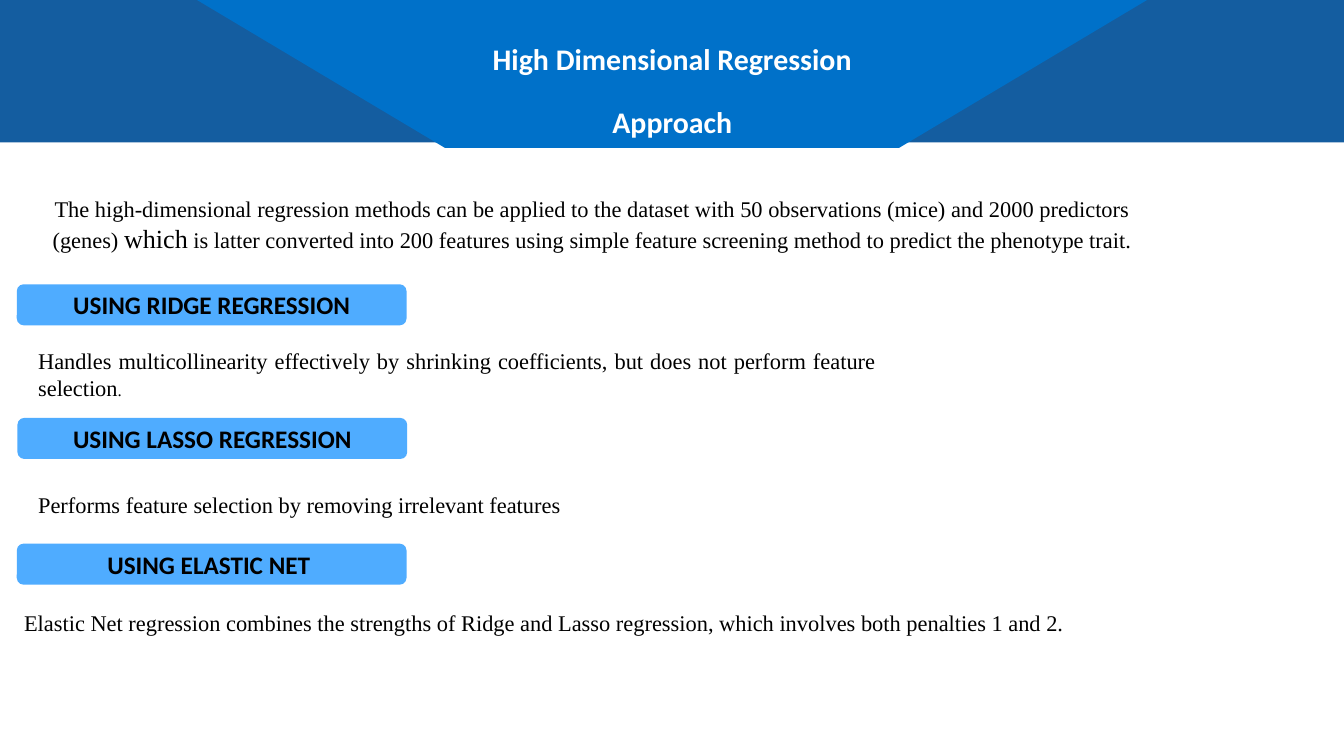
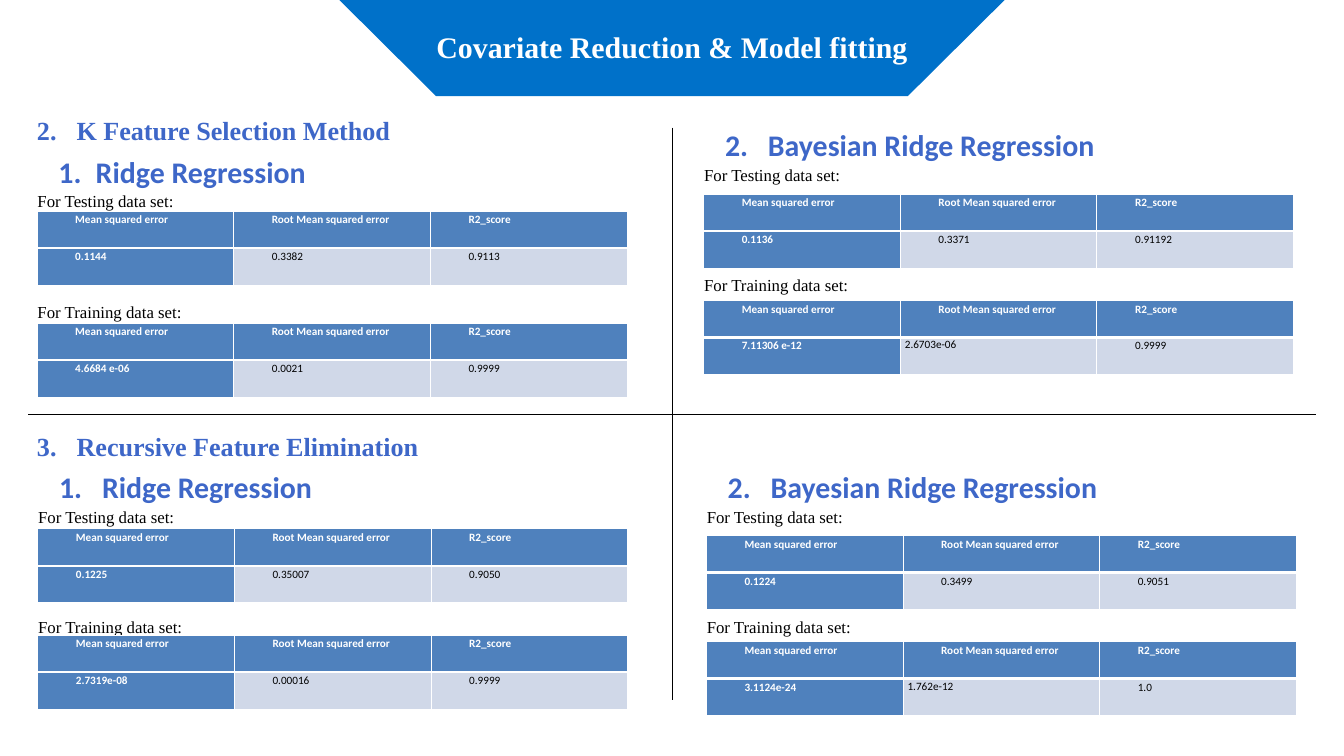
from lxml.etree import SubElement
from pptx import Presentation
from pptx.dml.color import RGBColor
from pptx.enum.shapes import MSO_CONNECTOR, MSO_SHAPE
from pptx.enum.text import MSO_ANCHOR, PP_ALIGN
from pptx.oxml.ns import qn
from pptx.util import Pt

WIDTH, HEIGHT = 1440, 810
WHITE, BLACK = "FFFFFF", "000000"
BAND_BLUE, TITLE_BLUE, BUTTON_BLUE = "145DA0", "0071C9", "4FACFF"
HEADING_BLUE, TABLE_BLUE, TABLE_PALE = "3E67C8", "4F81BD", "D0D8E8"
SANS, SERIF = "Calibri", "Times New Roman"

TITLE = {"name": SANS, "size": 32, "bold": True, "color": WHITE}
SERIF_TITLE = {**TITLE, "name": SERIF}
BODY = {"name": SERIF, "size": 24, "bold": False, "color": BLACK}
BUTTON = {"name": SANS, "size": 27, "bold": True, "color": BLACK}
SECTION = {"name": SERIF, "size": 28, "bold": True, "color": HEADING_BLUE}
MODEL = {**SECTION, "name": SANS, "size": 32}
LABEL = {**BODY, "size": 18}
CELL_KEY = {"name": SANS, "size": 12, "bold": True, "color": WHITE}
CELL_VALUE = {**CELL_KEY, "bold": False, "color": BLACK}

CENTER = {"alignment": PP_ALIGN.CENTER}
LOOSE = {"line_spacing": 1.5, "space_after": Pt(8)}
SNUG = {"line_spacing": 1.15, "space_after": Pt(8)}

INTRO = [
    ("The high-dimensional regression methods can be applied to the dataset with "
     "50 observations (mice) and 2000 predictors (genes) ", BODY),
    ("which", {**BODY, "size": 28}),
    (" is latter converted into 200 features using simple feature screening method "
     "to predict the phenotype trait.", BODY),
]
BUTTONS = [
    ("USING RIDGE REGRESSION", 18, 304.6),
    ("USING LASSO REGRESSION", 18.7, 447.8),
    ("USING ELASTIC NET ", 18, 582.5),
]
DETAILS = [
    ([("Handles multicollinearity effectively by shrinking coefficients, but does not "
       "perform feature selection", BODY), (".", LABEL)],
     (33.8, 368.6, 911.5, 82), {"alignment": PP_ALIGN.JUSTIFY}),
    ([("Performs feature selection by removing irrelevant features", BODY)],
     (33.8, 508.3, 911.5, 45.4), LOOSE),
    ([("Elastic Net regression combines the strengths of Ridge and Lasso regression, "
       "which involves both penalties 1 and 2.", BODY)],
     (18.7, 634.3, 1163.5, 46), LOOSE),
]

SECTIONS = [
    (2, "K Feature Selection Method", 122.4),
    (3, "Recursive Feature Elimination", 461.5),
]
TABLE_HEADER = ["Mean squared error", "Root Mean squared error", "R2_score"]
DATA_SETS = ["For Testing data set:", "For Training data set:"]
FLUSH_VALUES = {"2.6703e-06", "1.762e-12"}
PANELS = [
    {"model": (1, "Ridge Regression", 40), "left": 39.6, "top": 164.2,
     "labels": (197.3, 316.1), "tables": (226.1, 346.3),
     "scores": (["0.1144", "0.3382", "0.9113"], ["4.6684 e-06", "0.0021", "0.9999"])},
    {"model": (2, "Bayesian Ridge Regression", 46), "left": 753.8, "top": 136.1,
     "labels": (169.9, 288), "tables": (208.1, 321.8),
     "scores": (["0.1136", "0.3371", "0.91192"], ["7.11306 e-12", "2.6703e-06", "0.9999"])},
    {"model": (1, "Ridge Regression", 46), "left": 40.3, "top": 501.8,
     "labels": (535.7, 653.8), "tables": (566.6, 680.4),
     "scores": (["0.1225", "0.35007", "0.9050"], ["2.7319e-08", "0.00016", "0.9999"])},
    {"model": (2, "Bayesian Ridge Regression", 46), "left": 756.7, "top": 501.8,
     "labels": (535.7, 653.8), "tables": (573.8, 687.6),
     "scores": (["0.1224", "0.3499", "0.9051"], ["3.1124e-24", "1.762e-12", "1.0"])},
]
COLUMN_WIDTH, ROW_HEIGHT = 210.7, 39.6
DIVIDERS = [(30.2, 444.2, 1410.5, 444.2), (720, 136.8, 720, 750.2)]


def colour(value):
    return RGBColor.from_string(value)


def points(values):
    return [Pt(value) for value in values]


def write(frame, runs, layout, indent=0, number=None):
    para = frame.paragraphs[0]
    for key, value in layout.items():
        setattr(para, key, value)
    properties = para._p.get_or_add_pPr()
    if indent:
        properties.set("marL", str(Pt(indent)))
        properties.set("indent", str(-Pt(indent) if number else 0))
    if number:
        SubElement(properties, qn("a:buAutoNum"), type="arabicPeriod", startAt=str(number))
    for text, style in runs:
        span = para.add_run()
        span.text = text
        formats = {**style, "size": Pt(style["size"])}
        span.font.color.rgb = colour(formats.pop("color"))
        for key, value in formats.items():
            setattr(span.font, key, value)


def add_text(page, area, runs, layout, inset=True, **marks):
    frame = page.shapes.add_textbox(*points(area)).text_frame
    frame.word_wrap = True
    frame.vertical_anchor = MSO_ANCHOR.TOP
    if not inset:
        for side in ("left", "top", "right", "bottom"):
            setattr(frame, "margin_" + side, 0)
    write(frame, runs, layout, **marks)


def paint(shape, fill):
    shape.shadow.inherit = False
    shape.fill.solid()
    shape.fill.fore_color.rgb = colour(fill)
    shape.line.fill.background()


def add_box(page, kind, area, fill):
    box = page.shapes.add_shape(kind, *points(area))
    paint(box, fill)
    return box


def add_title_banner(page, top_left, bottom_left, depth):
    corners = [(top_left, 0), (WIDTH - top_left, 0),
               (WIDTH - bottom_left, depth), (bottom_left, depth)]
    start, *others = [points(corner) for corner in corners]
    builder = page.shapes.build_freeform(*start, scale=1.0)
    builder.add_line_segments(others, close=True)
    paint(builder.convert_to_shape(), TITLE_BLUE)


def add_borders(cell, bottom):
    properties = cell._tc.get_or_add_tcPr()
    for position, (side, width) in enumerate(zip("LRTB", (1, 1, 1, bottom))):
        edge = properties.makeelement(qn("a:ln" + side), {"w": str(Pt(width))})
        SubElement(SubElement(edge, qn("a:solidFill")), qn("a:srgbClr"), val=WHITE)
        properties.insert(position, edge)


def add_score_table(page, left, top, scores):
    rows = [TABLE_HEADER, scores]
    columns = len(TABLE_HEADER)
    area = (left, top, COLUMN_WIDTH * columns, ROW_HEIGHT * len(rows))
    table = page.shapes.add_table(len(rows), columns, *points(area)).table
    table.horz_banding = False
    for row, texts in enumerate(rows):
        for column, text in enumerate(texts):
            cell = table.cell(row, column)
            is_key = row == 0 or column == 0
            cell.margin_left = cell.margin_right = Pt(5)
            cell.margin_top = cell.margin_bottom = 0
            cell.fill.solid()
            cell.fill.fore_color.rgb = colour(TABLE_BLUE if is_key else TABLE_PALE)
            add_borders(cell, 3 if row == 0 else 1)
            flush = text in FLUSH_VALUES
            write(cell.text_frame, [(text, CELL_KEY if is_key else CELL_VALUE)],
                  {"line_spacing": 1.07 if flush else 1.15}, indent=0 if flush else 36)


def add_divider(page, ends):
    line = page.shapes.add_connector(MSO_CONNECTOR.STRAIGHT, *points(ends))
    line.line.color.rgb = colour(BLACK)
    line.line.width = Pt(0.75)
    SubElement(line._element.spPr, qn("a:effectLst"))


def build_approach(page):
    add_box(page, MSO_SHAPE.RECTANGLE, (0, 0, WIDTH, 152.6), BAND_BLUE)
    add_title_banner(page, 211, 476.6, 158.4)
    add_text(page, (511.2, 13.7, 418.3, 128.9),
             [("High Dimensional Regression Approach", TITLE)],
             {**CENTER, "line_spacing": Pt(68)}, inset=False)
    add_text(page, (37.4, 205.9, 1193.8, 87), INTRO, CENTER)
    for runs, area, layout in DETAILS:
        add_text(page, area, runs, layout)
    for text, left, top in BUTTONS:
        button = add_box(page, MSO_SHAPE.ROUNDED_RECTANGLE, (left, top, 417.6, 44), BUTTON_BLUE)
        write(button.text_frame, [(text, BUTTON)], CENTER)


def build_model_fitting(page):
    add_title_banner(page, 363.6, 467.3, 103)
    add_text(page, (440.6, 20.9, 559.4, 48.2),
             [("Covariate Reduction & Model fitting", SERIF_TITLE)], {**CENTER, **SNUG})
    for ends in DIVIDERS:
        add_divider(page, ends)
    for number, text, top in SECTIONS:
        add_text(page, (39.6, top, 512, 33.8), [(text, SECTION)], {},
                 inset=False, indent=42.5, number=number)
    for panel in PANELS:
        number, name, indent = panel["model"]
        left = panel["left"]
        add_text(page, (left + 23, panel["top"], 402.5, 38.9), [(name, MODEL)], {},
                 inset=False, indent=indent, number=number)
        for label, label_top, table_top, scores in zip(
                DATA_SETS, panel["labels"], panel["tables"], panel["scores"]):
            add_text(page, (left - 24.5, label_top, 216, 31), [(label, LABEL)], SNUG, indent=18)
            add_score_table(page, left, table_top, scores)


def main():
    deck = Presentation()
    deck.slide_width, deck.slide_height = Pt(WIDTH), Pt(HEIGHT)
    for build in (build_approach, build_model_fitting):
        build(deck.slides.add_slide(deck.slide_layouts[6]))
    deck.save("out.pptx")


if __name__ == "__main__":
    main()
